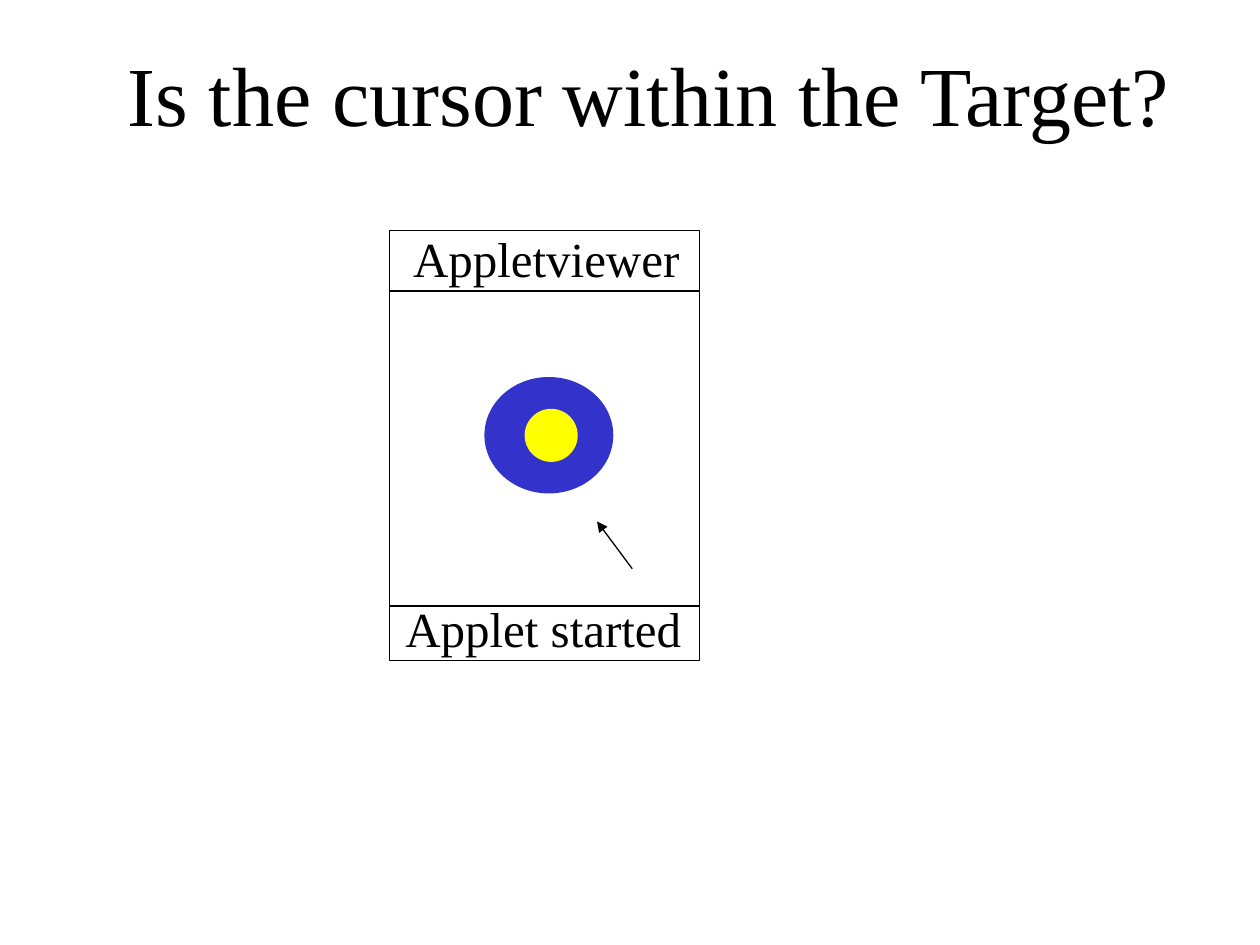
import dataclasses
import pptx
import pptx.dml.color
import pptx.enum.shapes
import pptx.enum.text
import pptx.util
from pptx.oxml.ns import qn
from lxml import etree

Pt = pptx.util.Pt
Kind = pptx.enum.shapes.MSO_SHAPE
FONT = "Times New Roman"
BLACK = "000000"
WIDTH = 0.75


@dataclasses.dataclass
class Box:
    left: float
    top: float
    width: float
    height: float

    def place(self) -> list:
        return [Pt(v) for v in dataclasses.astuple(self)]


@dataclasses.dataclass
class Form:
    kind: int
    box: Box
    fill: str
    edge: str


@dataclasses.dataclass
class Label:
    text: str
    box: Box


@dataclasses.dataclass
class Line:
    start: tuple[float, float]
    end: tuple[float, float]
    arrow: bool = False


def paint(color, value: str) -> None:
    color.rgb = pptx.dml.color.RGBColor.from_string(value)


def write(shape, text: str, size: float) -> None:
    frame = shape.text_frame
    frame.text = text
    frame.word_wrap = False
    frame.auto_size = pptx.enum.text.MSO_AUTO_SIZE.SHAPE_TO_FIT_TEXT
    frame.vertical_anchor = pptx.enum.text.MSO_ANCHOR.TOP
    para = frame.paragraphs[0]
    para.alignment = pptx.enum.text.PP_ALIGN.LEFT
    font = para.runs[0].font
    font.name = FONT
    font.size = Pt(size)
    paint(font.color, BLACK)


def draw_title(slide, label: Label) -> None:
    title = slide.shapes.title
    title.left, title.top, title.width, title.height = label.box.place()
    write(title, label.text, 48)


def draw_form(slide, form: Form) -> None:
    shape = slide.shapes.add_shape(form.kind, *form.box.place())
    shape.shadow.inherit = False
    shape.fill.solid()
    paint(shape.fill.fore_color, form.fill)
    paint(shape.line.color, form.edge)
    shape.line.width = Pt(WIDTH)


def draw_label(slide, label: Label) -> None:
    write(slide.shapes.add_textbox(*label.box.place()), label.text, 28)


def draw_line(slide, line: Line) -> None:
    ends = [Pt(v) for v in (*line.start, *line.end)]
    link = slide.shapes.add_connector(
        pptx.enum.shapes.MSO_CONNECTOR.STRAIGHT, *ends)
    paint(link.line.color, BLACK)
    link.line.width = Pt(WIDTH)
    props = link._element.spPr
    if line.arrow:
        etree.SubElement(props.find(qn("a:ln")), qn("a:tailEnd"), type="triangle")
    etree.SubElement(props, qn("a:effectLst"))


WINDOW = Box(222.5, 131.8, 177.4, 245.5)
RIGHT = WINDOW.left + WINDOW.width
TITLE = Label("Is the cursor within the Target?", Box(65.5, 20.6, 618, 64.8))
FORMS = [
    Form(Kind.RECTANGLE, WINDOW, "FFFFFF", BLACK),
    Form(Kind.OVAL, Box(277.2, 215.8, 72.9, 65.8), "3333CC", "3333CC"),
    Form(Kind.OVAL, Box(300.2, 234, 29.6, 29.6), "FFFF00", "FFFF00"),
]
LABELS = [
    Label("Appletviewer", Box(229, 127, 169, 41)),
    Label("Applet started", Box(224.6, 338.4, 174, 41)),
]
LINES = [Line((WINDOW.left, y), (RIGHT, y)) for y in (166.3, 346.3)]
LINES.append(Line((361.3, 325), (341.2, 298), arrow=True))


def main() -> None:
    deck = pptx.Presentation()
    deck.slide_width, deck.slide_height = Pt(720), Pt(540)
    slide = deck.slides.add_slide(deck.slide_layouts[5])
    draw_title(slide, TITLE)
    for form in FORMS:
        draw_form(slide, form)
    for label in LABELS:
        draw_label(slide, label)
    for line in LINES:
        draw_line(slide, line)
    deck.save("out.pptx")


if __name__ == "__main__":
    main()
